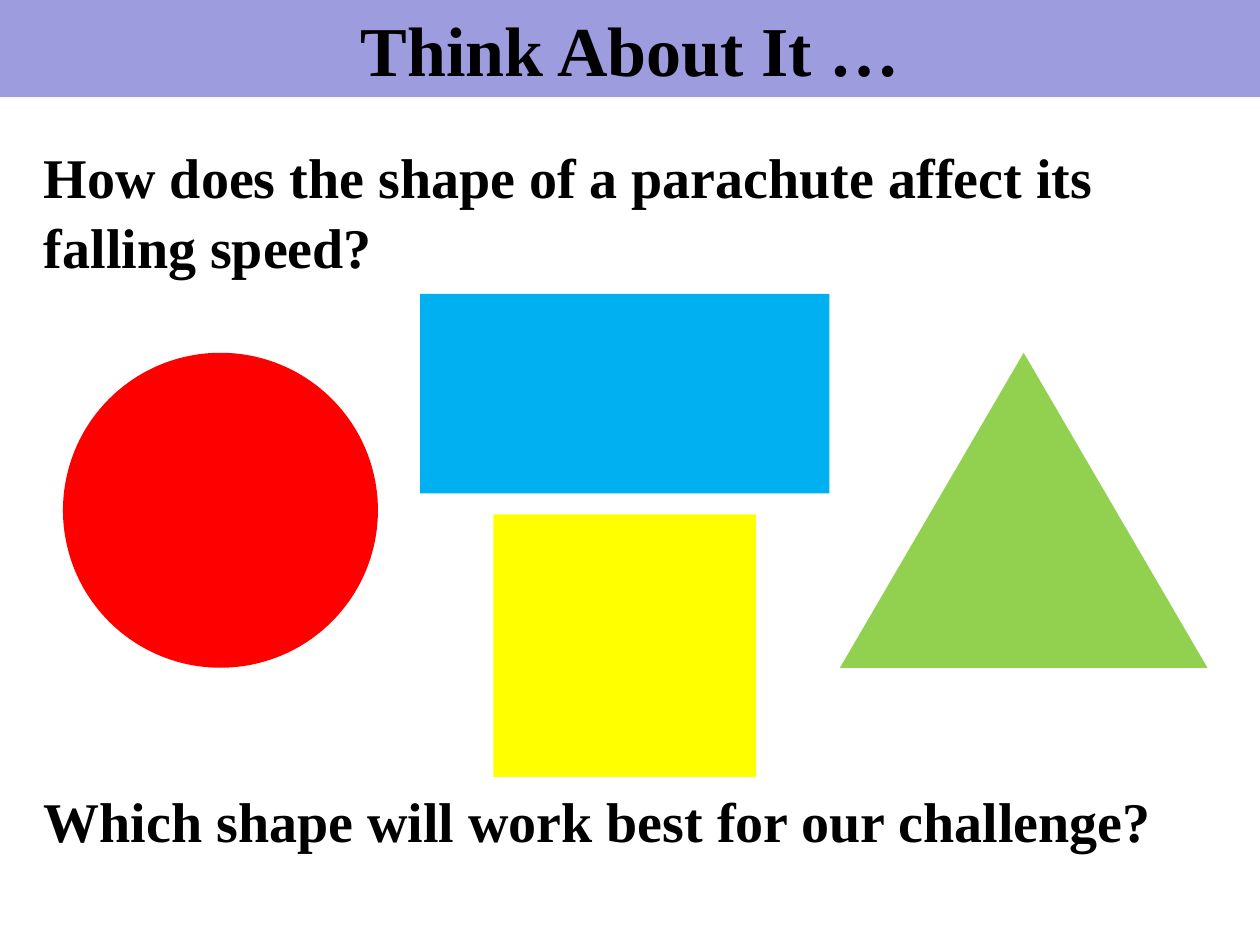
from dataclasses import dataclass

from pptx import Presentation
from pptx.dml.color import RGBColor
from pptx.enum.shapes import MSO_SHAPE
from pptx.enum.text import MSO_ANCHOR, PP_ALIGN
from pptx.util import Inches, Pt

RECT, OVAL = MSO_SHAPE.RECTANGLE, MSO_SHAPE.OVAL
TRI = MSO_SHAPE.ISOSCELES_TRIANGLE
LEFT, MID = PP_ALIGN.LEFT, PP_ALIGN.CENTER
TOP, CORE = MSO_ANCHOR.TOP, MSO_ANCHOR.MIDDLE

BLACK = RGBColor(0x00, 0x00, 0x00)
LILAC = RGBColor(0x9C, 0x9C, 0xDF)
RED = RGBColor(0xFF, 0x00, 0x00)
BLUE = RGBColor(0x00, 0xB0, 0xF0)
YELLOW = RGBColor(0xFF, 0xFF, 0x00)
GREEN = RGBColor(0x92, 0xD0, 0x50)

FONT = "Times New Roman"
COLS, ROWS = 120, 90  # grid cells of 1/12 inch
CELL = Inches(10) // COLS


@dataclass
class Form:
    """A plain filled shape, measured in grid cells."""
    kind: int
    col: float
    row: float
    wide: float
    high: float
    fill: RGBColor


BAND = Form(RECT, 0, 0, COLS, 9.25, LILAC)
CHUTES = [
    Form(OVAL, 6, 33.6, 30, 30, RED),
    Form(RECT, 40, 28, 39, 19, BLUE),
    Form(RECT, 47, 49, 25, 25, YELLOW),
    Form(TRI, 80, 33.6, 35, 30, GREEN),
]


def grid(*cells: float) -> list[int]:
    return [round(n * CELL) for n in cells]


def draw(slide, form: Form):
    shape = slide.shapes.add_shape(
        form.kind, *grid(form.col, form.row, form.wide, form.high))
    shape.shadow.inherit = False
    shape.fill.solid()
    shape.fill.fore_color.rgb = form.fill
    shape.line.fill.background()
    return shape


def write(shape, *lines: str, size: int, align=LEFT, anchor=TOP,
          gap: float = 0, lead: float = 1) -> None:
    frame = shape.text_frame
    frame.word_wrap = True
    frame.vertical_anchor = anchor
    for i, line in enumerate(lines):
        para = frame.add_paragraph() if i else frame.paragraphs[0]
        para.text = line
        para.alignment = align
        para.line_spacing = lead
        if i:
            para.space_before = Pt(gap)
        font = para.font
        font.name, font.size, font.bold = FONT, Pt(size), True
        font.color.rgb = BLACK


def main() -> None:
    deck = Presentation()
    deck.slide_width, deck.slide_height = grid(COLS, ROWS)
    slide = deck.slides.add_slide(deck.slide_layouts[6])

    # Questions above and below the shapes
    body = slide.shapes.add_textbox(*grid(3, 12.75, 115, 72.25))
    write(body, "How does the shape of a parachute affect its falling speed?",
          "Which shape will work best for our challenge?",
          size=32, gap=288, lead=1.04)

    # Parachute shapes
    for form in CHUTES:
        draw(slide, form)

    # Title band
    write(draw(slide, BAND), "Think About It …",
          size=40, align=MID, anchor=CORE)
    deck.save("out.pptx")


if __name__ == "__main__":
    main()
